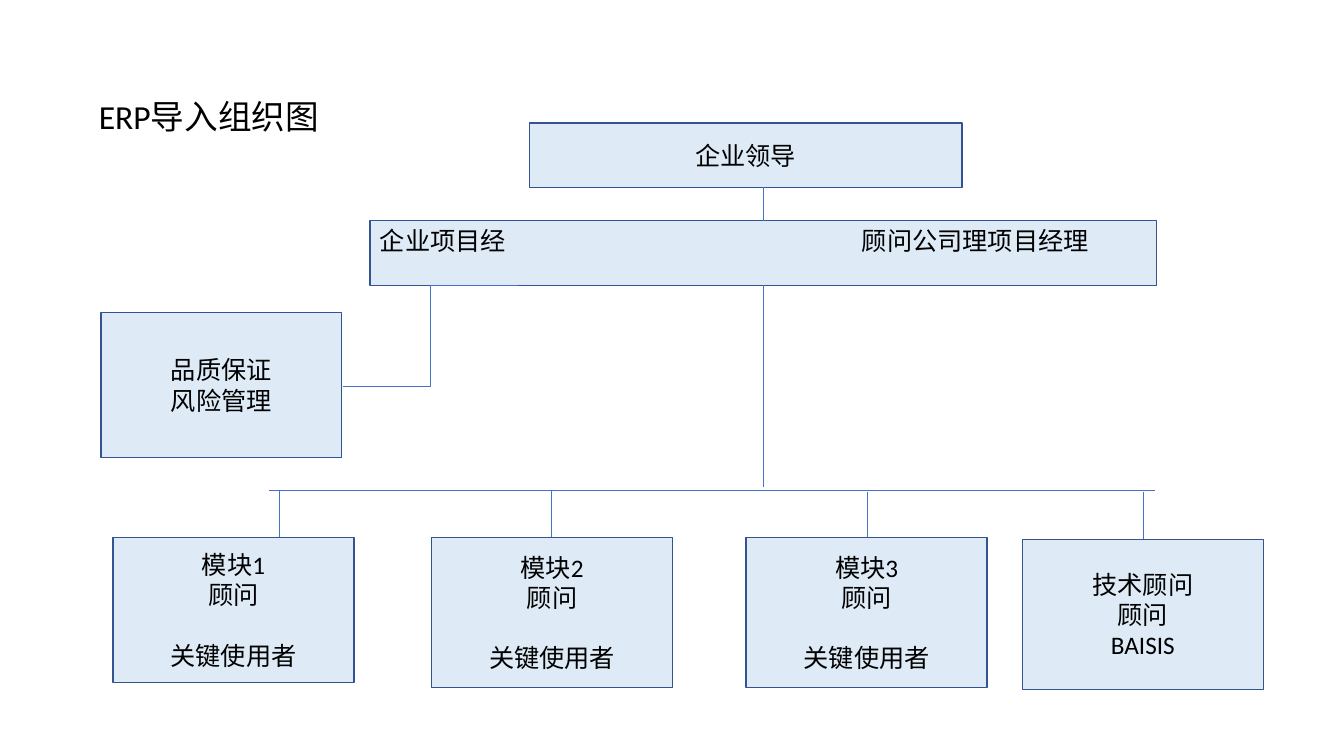
from lxml.etree import SubElement
from pptx import Presentation
from pptx.dml.color import RGBColor
from pptx.enum.shapes import MSO_CONNECTOR as Link, MSO_SHAPE as Shape
from pptx.enum.text import MSO_ANCHOR as Anchor, PP_ALIGN as Align
from pptx.oxml.ns import qn
from pptx.util import Inches, Pt

BLACK = RGBColor(0x00, 0x00, 0x00)
BOX_FILL = RGBColor(0xDE, 0xEB, 0xF7)
BOX_LINE = RGBColor(0x32, 0x54, 0x91)
LINK_BLUE = RGBColor(0x44, 0x72, 0xC4)

CENTRE_X = 7.57
BUS_Y = 4.86
CARD_WIDTH = 2.39
USERS = "关键使用者"


def write_text(frame, lines, size=18, align=Align.CENTER, anchor=Anchor.MIDDLE,
               line_spacing=None, spaced_line=None):
    """Write one paragraph per line; spaced_line gets one line of space above it."""
    frame.word_wrap = True
    frame.vertical_anchor = anchor
    for index, line in enumerate(lines):
        paragraph = frame.paragraphs[0] if index == 0 else frame.add_paragraph()
        paragraph.alignment = align
        paragraph.line_spacing = line_spacing
        if line == spaced_line:
            paragraph.space_before = Pt(size * 1.2)
        run = paragraph.add_run()
        run.text = line
        run.font.name = "Calibri"
        run.font.size = Pt(size)
        run.font.color.rgb = BLACK


def add_box(slide, left, top, width, height, lines, **text_format):
    box = slide.shapes.add_shape(Shape.RECTANGLE, Inches(left), Inches(top),
                                 Inches(width), Inches(height))
    box.shadow.inherit = False
    box.fill.solid()
    box.fill.fore_color.rgb = BOX_FILL
    box.line.color.rgb = BOX_LINE
    box.line.width = Pt(1)
    write_text(box.text_frame, lines, **text_format)
    return box


def add_link(slide, x1, y1, x2, y2, kind=Link.STRAIGHT):
    link = slide.shapes.add_connector(kind, Inches(x1), Inches(y1),
                                      Inches(x2), Inches(y2))
    link.line.color.rgb = LINK_BLUE
    link.line.width = Pt(0.5)
    SubElement(link._element.spPr, qn("a:effectLst"))


def set_tab_stop(paragraph, position):
    tabs = SubElement(paragraph._p.get_or_add_pPr(), qn("a:tabLst"))
    SubElement(tabs, qn("a:tab"), pos=str(Inches(position)), algn="l")


def add_title(slide, text):
    title = slide.shapes.title
    title.left, title.top = Inches(0.88), Inches(0.95)
    title.width, title.height = Inches(4), Inches(0.5)
    write_text(title.text_frame, [text], size=24, align=Align.LEFT,
               anchor=Anchor.TOP, line_spacing=0.9)


def add_management(slide):
    add_box(slide, 5.25, 1.22, 4.29, 0.64, ["企业领导"])
    managers = add_box(slide, 3.67, 2.19, 7.8, 0.64,
                       ["企业项目经\t顾问公司理项目经理"],
                       align=Align.LEFT, anchor=Anchor.TOP)
    set_tab_stop(managers.text_frame.paragraphs[0], 4.78)
    add_box(slide, 1, 3.1, CARD_WIDTH, 1.44, ["品质保证", "风险管理"])

    add_link(slide, CENTRE_X, 1.86, CENTRE_X, 2.19)
    add_link(slide, 3.4, 3.83, 5.14, 2.83, kind=Link.ELBOW)
    add_link(slide, CENTRE_X, 2.83, CENTRE_X, 4.83)


def add_teams(slide):
    # left, top, height, link x, link top, lines
    teams = [
        (1.12, 5.33, 1.44, 2.77, BUS_Y, ["模块1", "顾问", USERS]),
        (4.28, 5.33, 1.49, 5.47, BUS_Y, ["模块2", "顾问", USERS]),
        (7.4, 5.33, 1.49, 8.6, 4.88, ["模块3", "顾问", USERS]),
        (10.14, 5.35, 1.49, 11.34, 4.88, ["技术顾问", "顾问", "BAISIS"]),
    ]
    add_link(slide, 2.67, BUS_Y, 11.46, BUS_Y)
    for left, top, height, link_x, link_top, lines in teams:
        add_box(slide, left, top, CARD_WIDTH, height, lines, spaced_line=USERS)
        add_link(slide, link_x, link_top, link_x, top)


def main():
    deck = Presentation()
    deck.slide_width, deck.slide_height = Inches(13.33), Inches(7.5)
    title_only = deck.slide_layouts[5]
    slide = deck.slides.add_slide(title_only)
    add_title(slide, "ERP导入组织图")
    add_management(slide)
    add_teams(slide)
    deck.save("out.pptx")


if __name__ == "__main__":
    main()
